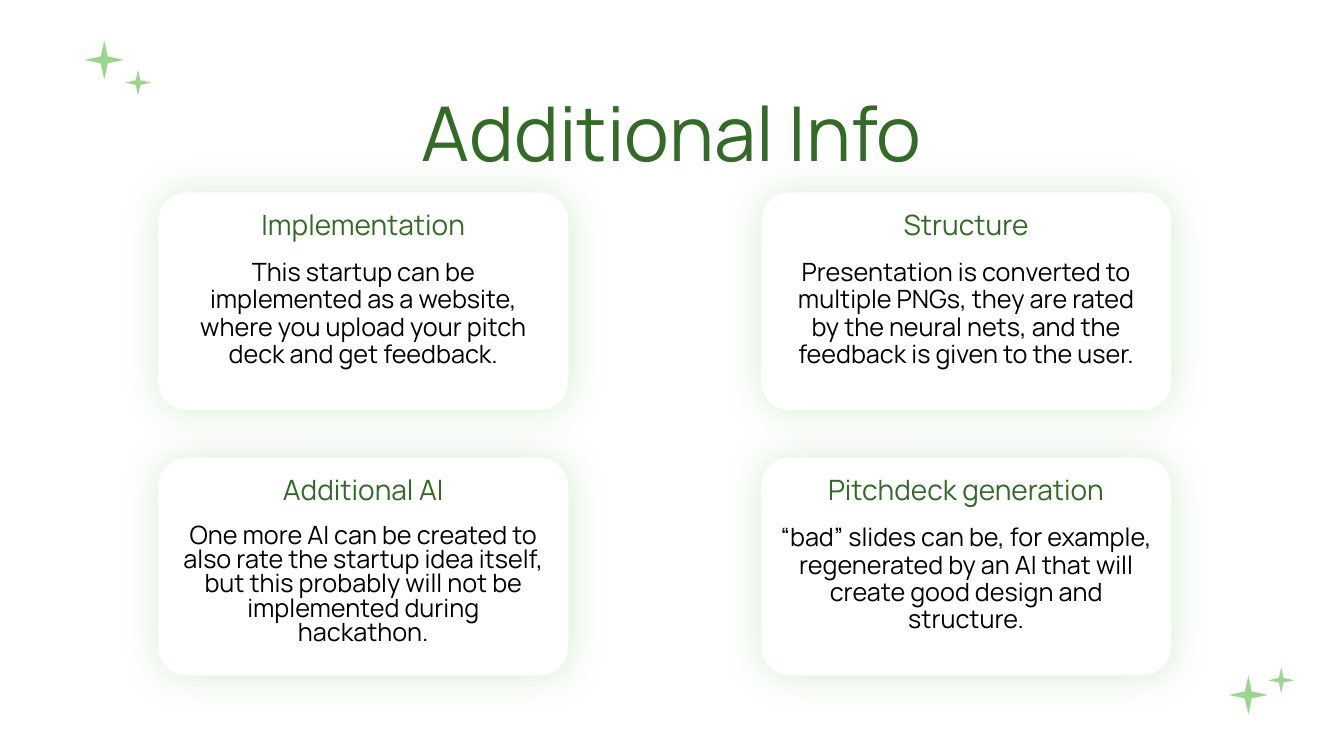
"""Build the Additional Info slide: four glowing cards and corner sparkles."""
from lxml import etree
from pptx import Presentation
from pptx.dml.color import RGBColor
from pptx.enum import shapes, text
from pptx.oxml import ns
from pptx.util import Pt

COLOURS = {"heading": "336A28", "body": "000000", "card": "FFFFFF", "sparkle": "9CD590"}

deck = Presentation()
deck.slide_width, deck.slide_height = Pt(960), Pt(540)
slide = deck.slides.add_slide(deck.slide_layouts[6])


def add_text(words, left, top, width, height, size, colour="heading",
             spacing=0.9, anchor=text.MSO_ANCHOR.TOP):
    frame = slide.shapes.add_textbox(Pt(left), Pt(top), Pt(width), Pt(height)).text_frame
    frame.word_wrap = True
    frame.vertical_anchor = anchor
    paragraph = frame.paragraphs[0]
    paragraph.alignment = text.PP_ALIGN.CENTER
    paragraph.line_spacing = spacing
    run = paragraph.add_run()
    run.text = words
    run.font.name = "Manrope"
    run.font.size = Pt(size)
    run.font.color.rgb = RGBColor.from_string(COLOURS[colour])


def add_plain_shape(kind, left, top, width, height, colour):
    shape = slide.shapes.add_shape(kind, Pt(left), Pt(top), Pt(width), Pt(height))
    shape.shadow.inherit = False
    shape.fill.solid()
    shape.fill.fore_color.rgb = RGBColor.from_string(COLOURS[colour])
    shape.line.fill.background()
    return shape


add_text("Additional Info", 286.6, 24.5, 386.6, 103.7, 54, spacing=0.7,
         anchor=text.MSO_ANCHOR.BOTTOM)

cards = [
    ("Implementation", 191, "This startup can be implemented as a website, "
     "where you upload your pitch deck and get feedback.", 272, 0.9),
    ("Structure", 151, "Presentation is converted to multiple PNGs, they are rated "
     "by the neural nets, and the feedback is given to the user.", 272, 0.9),
    ("Additional AI", 191, "One more AI can be created to also rate the startup idea itself, "
     "but this probably will not be implemented during hackathon.", 272, 0.8),
    ("Pitchdeck generation", 236, "“bad” slides can be, for example, regenerated by an AI "
     "that will create good design and structure.", 294.5, 0.9),
]
card_width, card_height = 293, 155.5
for index, (heading, heading_width, body, body_width, spacing) in enumerate(cards):
    row, column = divmod(index, 2)
    left, top = 113 + column * 430.6, 137.5 + row * 189.4
    centre = left + card_width / 2
    card = add_plain_shape(shapes.MSO_SHAPE.ROUNDED_RECTANGLE, left, top,
                           card_width, card_height, "card")
    card.adjustments[0] = 0.133
    effects = card._element.spPr.find(ns.qn("a:effectLst"))
    glow = etree.SubElement(effects, ns.qn("a:outerShdw"), blurRad=str(Pt(27)),
                            dist="0", dir="0", algn="ctr", rotWithShape="0")
    tint = etree.SubElement(glow, ns.qn("a:srgbClr"), val=COLOURS["sparkle"])
    etree.SubElement(tint, ns.qn("a:alpha"), val="40000")
    add_text(heading, centre - heading_width / 2, top + 10, heading_width, 37.4, 20)
    add_text(body, centre - body_width / 2, top + 44.6, body_width, 103.7, 18,
             "body", spacing)

for left, top, side in [(89.3, 49.7, 18.7), (60.5, 28.8, 28),
                        (905.8, 476.6, 18.7), (877.7, 482.4, 28)]:
    add_plain_shape(shapes.MSO_SHAPE.STAR_4_POINT, left, top, side, side, "sparkle")

deck.save("out.pptx")
